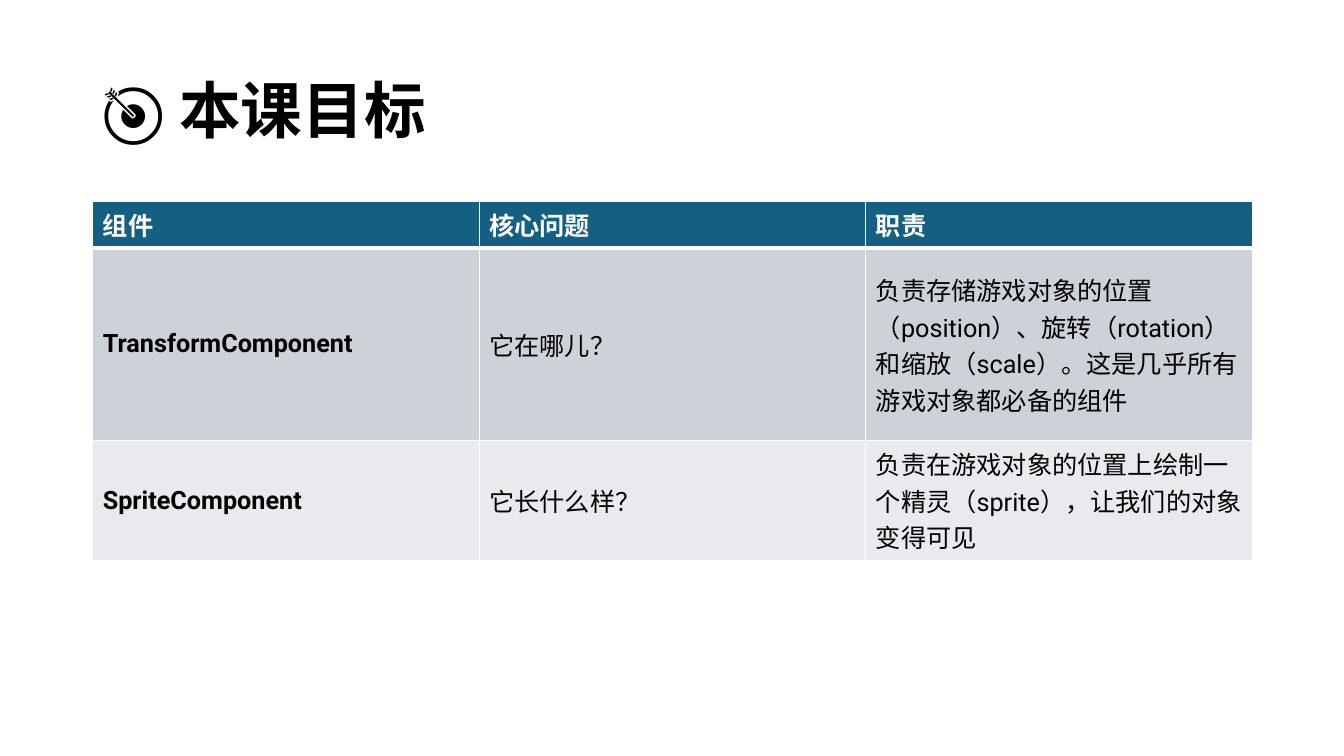
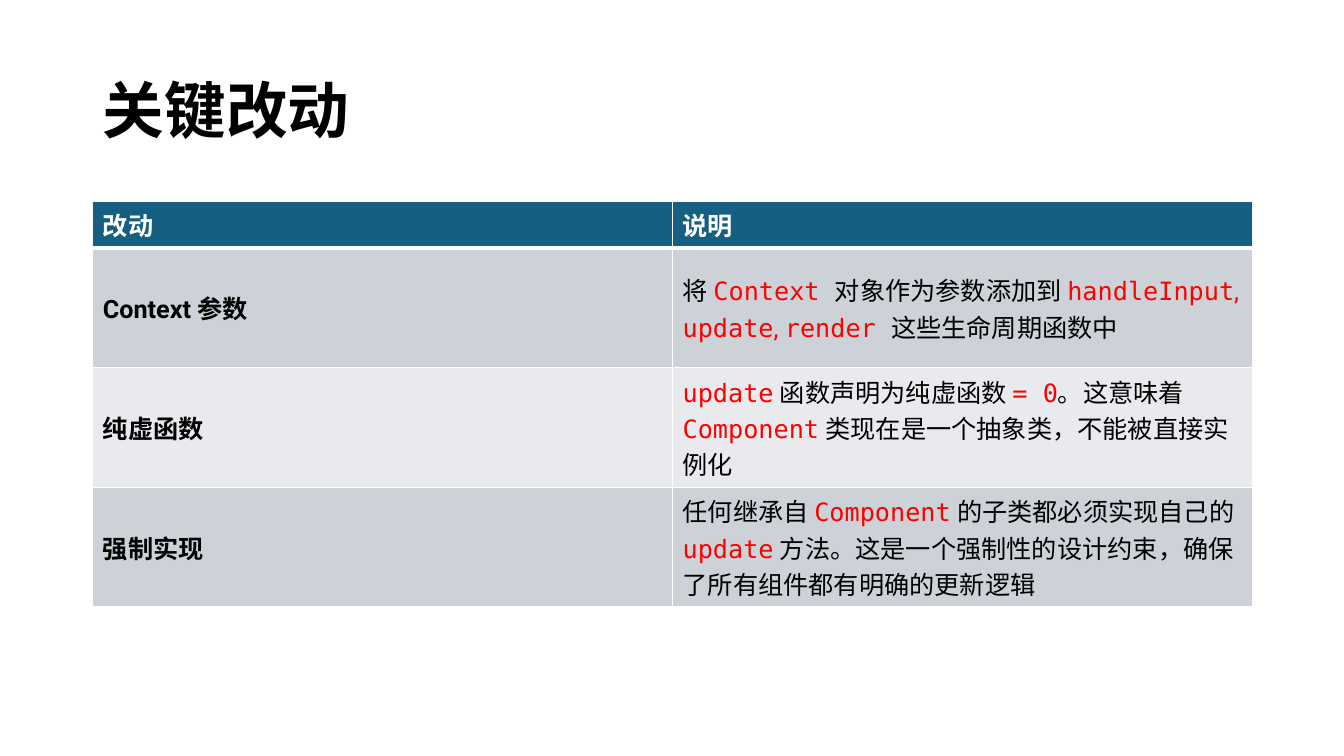
from dataclasses import dataclass

from lxml import etree
from pptx import Presentation
from pptx.dml.color import RGBColor
from pptx.enum.lang import MSO_LANGUAGE_ID
from pptx.enum.text import MSO_ANCHOR, MSO_AUTO_SIZE, PP_ALIGN
from pptx.oxml.ns import qn
from pptx.util import Emu, Inches, Pt

MIDDLE = MSO_ANCHOR.MIDDLE
LEFT = PP_ALIGN.LEFT
NO_FIT = MSO_AUTO_SIZE.NONE
CHINESE = MSO_LANGUAGE_ID.SIMPLIFIED_CHINESE

COLORS = {
    "text": "000000",
    "code": "FF0000",
    "white": "FFFFFF",
    "header": "156082",
    "odd": "CCD2D8",
    "even": "E8EAED",
}
BODY_FONT = "Roboto"
CODE_FONT = "DejaVu Sans Mono"
SLIDE_WIDTH, SLIDE_HEIGHT = Inches(13.33), Inches(7.5)
MARGIN = Inches(0.92)
CONTENT_WIDTH = Inches(11.5)
TITLE_TOP, TITLE_HEIGHT = Inches(0.4), Inches(1.45)
TABLE_TOP = Inches(2)
ROW_HEIGHT = Inches(0.41)
THIN, THICK = 1, 3


@dataclass(frozen=True)
class Span:
    text: str
    color: str = "text"
    font: str = BODY_FONT


@dataclass(frozen=True)
class TablePage:
    title: str
    header: list[str]
    rows: list[list[list[Span]]]
    table_height: float


def code(text: str) -> Span:
    return Span(text, "code", CODE_FONT)


COMMA = Span(", ", "code")

PAGES = [
    TablePage(
        "🎯 本课目标",
        ["组件", "核心问题", "职责"],
        [
            [
                [Span("TransformComponent")],
                [Span("它在哪儿？")],
                [Span("负责存储游戏对象的位置（position）、旋转（rotation）和缩放（scale）。"
                      "这是几乎所有游戏对象都必备的组件")],
            ],
            [
                [Span("SpriteComponent")],
                [Span("它长什么样？")],
                [Span("负责在游戏对象的位置上绘制一个精灵（sprite），让我们的对象变得可见")],
            ],
        ],
        2.71,
    ),
    TablePage(
        "关键改动",
        ["改动", "说明"],
        [
            [
                [Span("Context 参数")],
                [Span("将 "), code("Context "), Span("对象作为参数添加到 "),
                 code("handleInput"), COMMA, code("update"), COMMA, code("render "),
                 Span("这些生命周期函数中")],
            ],
            [
                [Span("纯虚函数")],
                [code("update"), Span(" 函数声明为纯虚函数 "), code("= 0"),
                 Span("。这意味着 "), code("Component"),
                 Span(" 类现在是一个抽象类，不能被直接实例化")],
            ],
            [
                [Span("强制实现")],
                [Span("任何继承自 "), code("Component"), Span(" 的子类都必须实现自己的 "),
                 code("update"),
                 Span(" 方法。这是一个强制性的设计约束，确保了所有组件都有明确的更新逻辑")],
            ],
        ],
        3.11,
    ),
]


def add_text(para, text: str, *, size: float = 18, color: str = "text",
             font: str = BODY_FONT, bold: bool = False) -> None:
    run = para.add_run()
    run.text = text
    run.font.size = Pt(size)
    run.font.name = font
    run.font.bold = bold
    run.font.color.rgb = RGBColor.from_string(COLORS[color])
    run.font.language_id = CHINESE


def add_border(cell, side: str, width: float) -> None:
    properties = cell._tc.get_or_add_tcPr()
    line = etree.SubElement(properties, qn(f"a:ln{side}"), w=str(Pt(width)))
    fill = etree.SubElement(line, qn("a:solidFill"))
    etree.SubElement(fill, qn("a:srgbClr"), val=COLORS["white"])


def fill_cell(cell, spans: list[Span], *, row: int, bold: bool) -> None:
    top = THICK if row == 1 else THIN
    bottom = THICK if row == 0 else THIN
    for side, width in (("L", THIN), ("R", THIN), ("T", top), ("B", bottom)):
        add_border(cell, side, width)
    band = "header" if row == 0 else ("even", "odd")[row % 2]
    cell.fill.solid()
    cell.fill.fore_color.rgb = RGBColor.from_string(COLORS[band])
    cell.vertical_anchor = MIDDLE
    para = cell.text_frame.paragraphs[0]
    for span in spans:
        add_text(para, span.text, color=span.color, font=span.font, bold=bold)


def format_title(box, text: str) -> None:
    box.left, box.top = MARGIN, TITLE_TOP
    box.width, box.height = CONTENT_WIDTH, TITLE_HEIGHT
    frame = box.text_frame
    frame.word_wrap = True
    frame.auto_size = NO_FIT
    frame.vertical_anchor = MIDDLE
    para = frame.paragraphs[0]
    para.alignment = LEFT
    para.line_spacing = 0.9
    add_text(para, text, size=44, bold=True)


def add_page(deck, content: TablePage) -> None:
    page = deck.slides.add_slide(deck.slide_layouts[5])
    format_title(page.shapes.title, content.title)
    header = [[Span(label, "white")] for label in content.header]
    rows = [header, *content.rows]
    box = page.shapes.add_table(len(rows), len(header), MARGIN, TABLE_TOP,
                                CONTENT_WIDTH, Emu(ROW_HEIGHT * len(rows)))
    for row, cells in enumerate(rows):
        for column, spans in enumerate(cells):
            fill_cell(box.table.cell(row, column), spans, row=row,
                      bold=row == 0 or column == 0)
    box.height = Inches(content.table_height)


def main() -> None:
    deck = Presentation()
    deck.slide_width, deck.slide_height = SLIDE_WIDTH, SLIDE_HEIGHT
    for content in PAGES:
        add_page(deck, content)
    deck.save("out.pptx")


if __name__ == "__main__":
    main()
